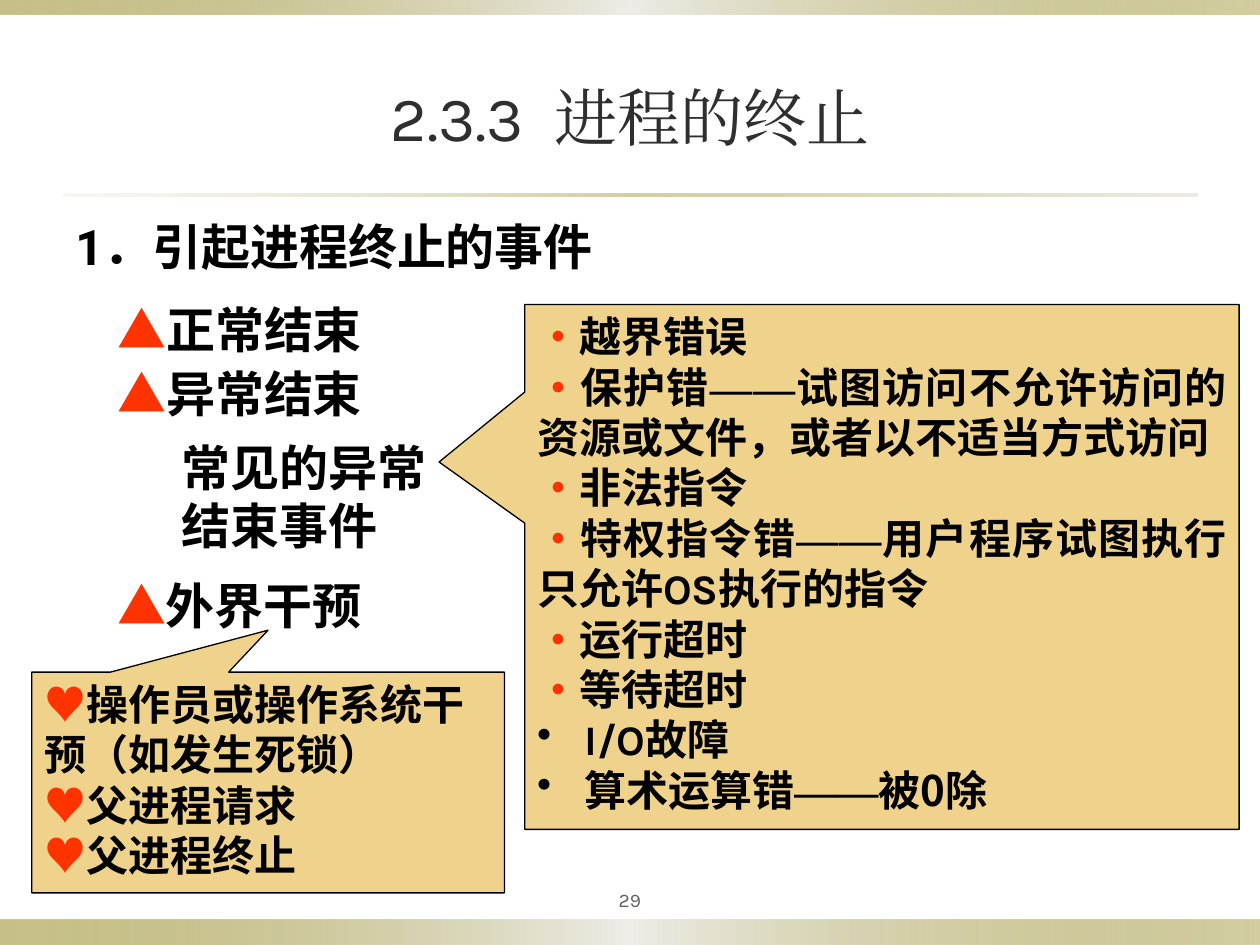
import pptx
import pptx.util
import pptx.dml.color
import pptx.enum.shapes
import pptx.enum.text
import pptx.oxml
import pptx.oxml.ns

Cm, Pt = pptx.util.Cm, pptx.util.Pt
RGB = pptx.dml.color.RGBColor
Align = pptx.enum.text.PP_ALIGN
Anchor = pptx.enum.text.MSO_ANCHOR
Shape = pptx.enum.shapes.MSO_SHAPE

HUES = {"ink": "000000", "red": "FF3300", "sand": "EFD28C", "title": "2F2F2F",
        "page": "636363", "olive": "918415", "pale": "EEEDE8", "mist": "DCD9CC"}
CJK, KARLA, TIMES = "Noto Sans CJK SC", "Karla", "Times New Roman"


def write(frame, paras, size, align=Align.LEFT, gap=0, bold=True):
    """Fill a frame; each paragraph is a list of (text, font, hue) runs."""
    frame.word_wrap = True
    for i, runs in enumerate(paras):
        para = frame.paragraphs[0] if i == 0 else frame.add_paragraph()
        para.alignment = align
        para.space_before = Pt(gap if i else 0)
        para.line_spacing = Pt(size * 1.2)
        for text, font, hue in runs:
            run = para.add_run()
            run.text = text
            run.font.size, run.font.bold, run.font.name = Pt(size), bold, font
            run.font.color.rgb = RGB.from_string(HUES[hue])
            east = pptx.oxml.parse_xml(
                f'<a:ea {pptx.oxml.ns.nsdecls("a")} typeface="{font}"/>')
            run.font._element.find(pptx.oxml.ns.qn("a:latin")).addnext(east)


def bullet(para, mark, left):
    """Set a hanging bullet, or none when mark is empty."""
    props = para._p.get_or_add_pPr()
    props.set("marL", str(left))
    props.set("indent", str(-left))
    tag = f'buChar char="{mark}"' if mark else "buNone"
    props.append(pptx.oxml.parse_xml(f'<a:{tag} {pptx.oxml.ns.nsdecls("a")}/>'))


deck = pptx.Presentation()
deck.slide_width, deck.slide_height = Cm(25.4), Cm(19.05)
slide = deck.slides.add_slide(deck.slide_layouts[1])
shapes = slide.shapes

# Gradient bands and title rule: stops are (place, hue, opacity)
band = [(0, "olive", 50), (50, "pale", 100), (100, "olive", 40)]
rule = [(0, "mist", 20), (50, "olive", 100), (100, "mist", 50)]
rule[1] = (50, "olive", 40)
for left, top, wide, high, stops in [(0, 18.54, 25.4, 0.51, band),
                                     (0, 0, 25.4, 0.3, band),
                                     (1.27, 3.91, 22.86, 0.05, rule)]:
    bar = shapes.add_shape(Shape.RECTANGLE, Cm(left), Cm(top), Cm(wide), Cm(high))
    bar.shadow.inherit = False
    bar.line.fill.background()
    bar.fill.gradient()
    bar.fill.gradient_angle = 0
    old = bar._element.spPr.find(pptx.oxml.ns.qn("a:gradFill")).find(
        pptx.oxml.ns.qn("a:gsLst"))
    new = "".join(
        f'<a:gs pos="{spot * 1000}"><a:srgbClr val="{HUES[hue]}">'
        f'<a:alpha val="{clear * 1000}"/></a:srgbClr></a:gs>'
        for spot, hue, clear in stops)
    old.getparent().replace(old, pptx.oxml.parse_xml(
        f'<a:gsLst {pptx.oxml.ns.nsdecls("a")}>{new}</a:gsLst>'))

# Title
title = shapes.title
title.left, title.top, title.width, title.height = Cm(1.27), Cm(0.76), Cm(22.86), Cm(3.18)
title.text_frame.vertical_anchor = Anchor.MIDDLE
write(title.text_frame, [[("2.3.3  ", KARLA, "title"), ("进程的终止", TIMES, "title")]],
      36, Align.CENTER, bold=False)

# List of normal and abnormal ends
body = slide.placeholders[1]
body.left, body.top, body.width, body.height = Cm(2.11), Cm(5.92), Cm(5.72), Cm(2.74)
body.text_frame.auto_size = pptx.enum.text.MSO_AUTO_SIZE.NONE
write(body.text_frame, [[("▲", CJK, "red"), (text, CJK, "ink")]
                        for text in ("正常结束", "异常结束")], 28, gap=2.8)
for para in body.text_frame.paragraphs:
    bullet(para, "", 0)

# Free text: heading, third cause, note on the callout, page number
for left, top, wide, high, side, size, align, bold, runs in [
        (1.27, 4.24, 11.43, 1.45, 0.25, 28, Align.LEFT, True,
         [("1", "Roboto", "ink"), ("．引起进程终止的事件", CJK, "ink")]),
        (2.11, 11.48, 6.15, 1.45, 0.25, 28, Align.LEFT, True,
         [("▲", CJK, "red"), ("外界干预", CJK, "ink")]),
        (3.61, 8.69, 5.46, 2.62, 0.05, 28, Align.LEFT, True,
         [("常见的异常结束事件", CJK, "ink")]),
        (11.43, 17.78, 2.54, 0.79, 0.13, 11, Align.CENTER, False,
         [("29", KARLA, "page")])]:
    box = shapes.add_textbox(Cm(left), Cm(top), Cm(wide), Cm(high))
    box.text_frame.margin_left = box.text_frame.margin_right = Cm(side)
    write(box.text_frame, [runs], size, align, bold=bold)

# Callouts
dot, heart, dash = ("•", CJK, "red"), ("♥", CJK, "red"), ("——", TIMES, "ink")
faults = [
    [dot, ("越界错误", CJK, "ink")],
    [dot, ("保护错", CJK, "ink"), dash,
     ("试图访问不允许访问的资源或文件，或者以不适当方式访问", CJK, "ink")],
    [dot, ("非法指令", CJK, "ink")],
    [dot, ("特权指令错", CJK, "ink"), dash, ("用户程序试图执行只允许", CJK, "ink"),
     ("OS", KARLA, "ink"), ("执行的指令", CJK, "ink")],
    [dot, ("运行超时", CJK, "ink")],
    [dot, ("等待超时", CJK, "ink")],
    [("I/O", KARLA, "ink"), ("故障", CJK, "ink")],
    [("算术运算错", CJK, "ink"), dash, ("被0除", CJK, "ink")]]
outer = [[heart, (text, CJK, "ink")] for text in
         ("操作员或操作系统干预（如发生死锁）", "父进程请求", "父进程终止")]
for left, top, wide, high, tip, align, paras in [
        (10.58, 6.14, 14.4, 10.58, (-0.62, -0.2), Align.JUSTIFY, faults),
        (0.64, 13.55, 9.53, 4.45, (0, -0.69), Align.LEFT, outer)]:
    call = shapes.add_shape(Shape.RECTANGULAR_CALLOUT,
                            Cm(left), Cm(top), Cm(wide), Cm(high))
    call.adjustments[0], call.adjustments[1] = tip
    call.shadow.inherit = False
    call.fill.solid()
    call.fill.fore_color.rgb = RGB.from_string(HUES["sand"])
    call.line.color.rgb = RGB.from_string(HUES["ink"])
    call.line.width = Pt(0.75)
    call.text_frame.vertical_anchor = Anchor.TOP
    write(call.text_frame, paras, 24, align)
    for para in call.text_frame.paragraphs:
        if para.runs[0].text not in "•♥":
            bullet(para, "•", Cm(0.95))

deck.save("out.pptx")
